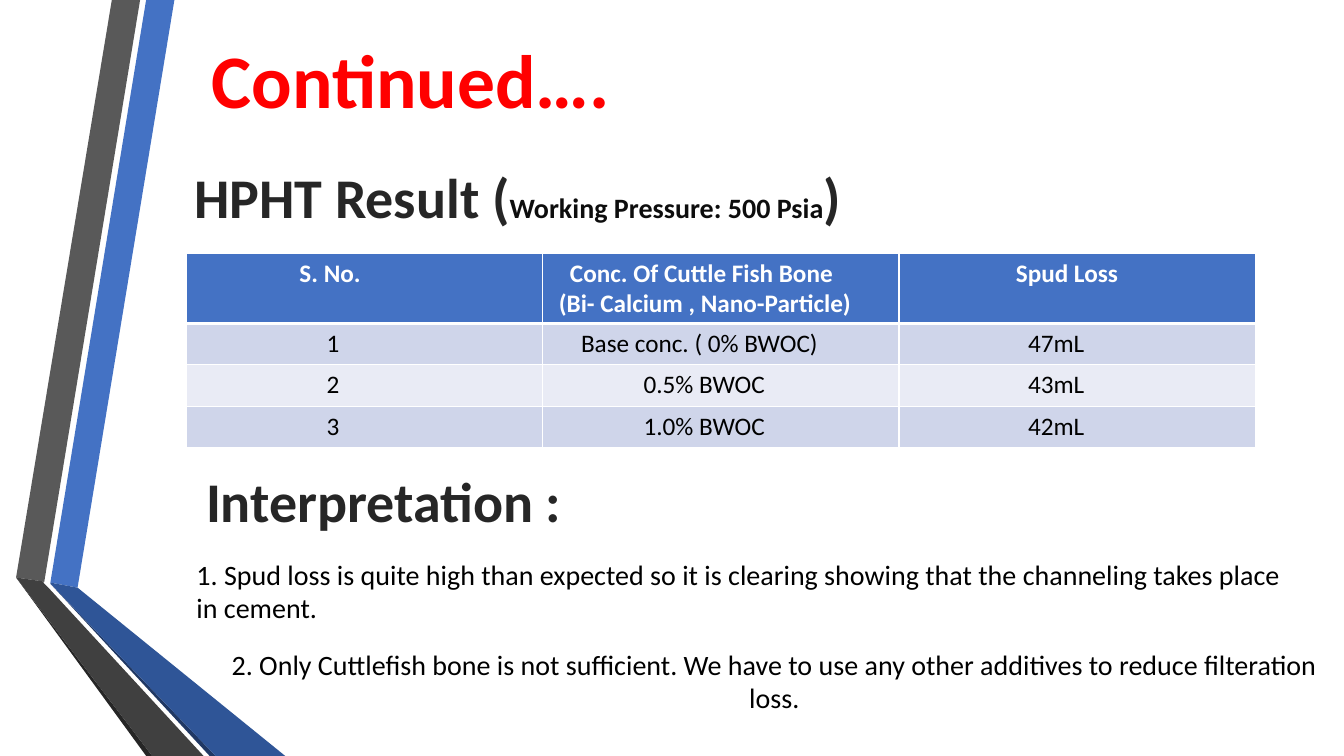
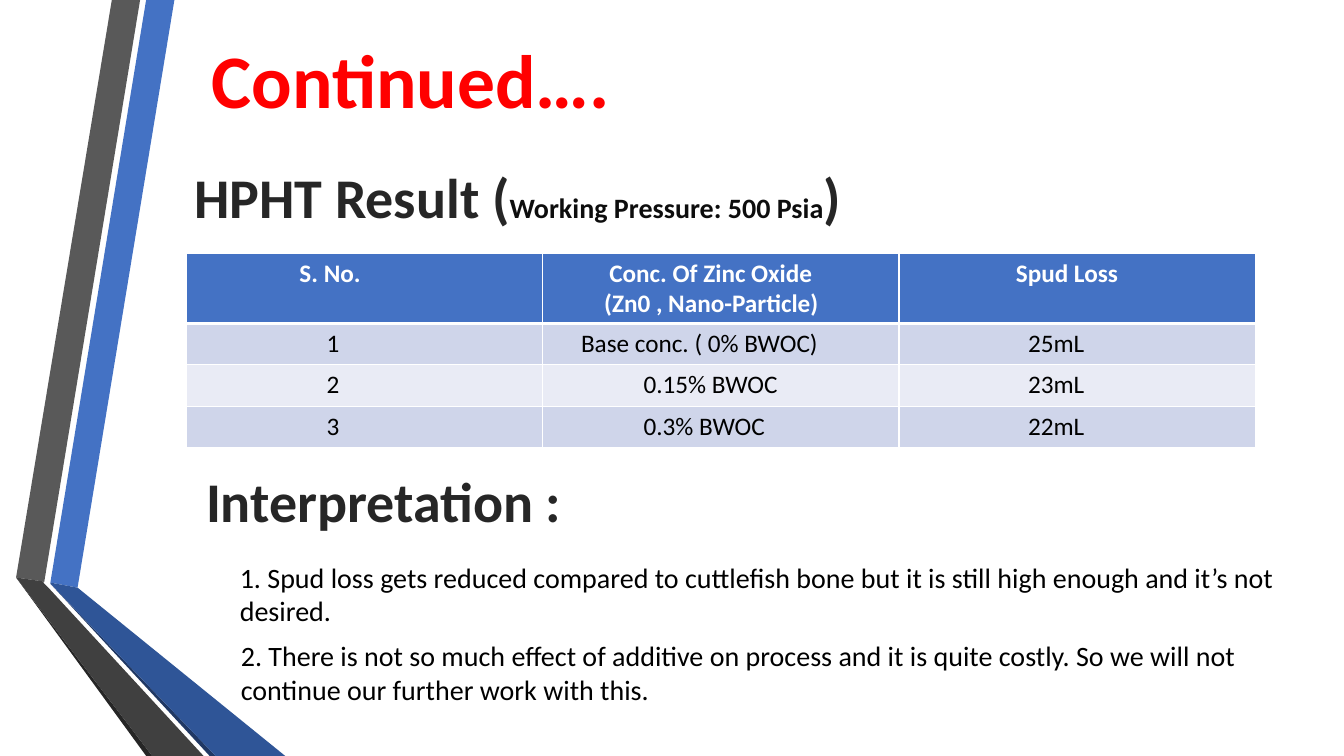
import lxml.etree
import pptx
import pptx.dml.color
import pptx.enum.text
import pptx.oxml.ns
import pptx.util

PX = 9144  # EMU per px, 100 px to the inch
SLIDE_SIZE = (1333, 750)

THEME = {
    "font": "Calibri",
    "title": {"size": 54, "color": "FF0000", "bold": True, "outline": 0.75},
    "heading": {"size": 40, "color": "262626", "bold": True, "outline": 1.06},
    "note": {"size": 20, "color": "0D0D0D", "bold": True, "outline": 1.06},
    "body": {"size": 20, "color": "000000"},
    "table_head": {"size": 18, "color": "FFFFFF", "bold": True},
    "table_body": {"size": 18, "color": "000000"},
    "head_fill": "4472C4",
    "band_fills": ("CFD5EA", "E9EBF5"),
    "border": "FFFFFF",
}

RIBBONS = [
    ("4472C4", [(50, 578), (77, 583), (173, 0), (145, 0)]),
    ("595959", [(139, 0), (111, 0), (16, 573), (44, 577)]),
    ("262626", [(16, 573), (145, 750), (151, 750)]),
    ("203864", [(50, 579), (208, 750), (214, 750)]),
    ("2F5597", [(50, 579), (214, 750), (283, 750), (77, 583), (50, 578)]),
    ("404040", [(202, 750), (48, 583), (43, 578), (44, 577), (16, 573), (151, 750)]),
]

# Heading boxes: (left, top, width, height), centred, [(text, style), ...]
HEADINGS = [
    ((183, 28, 449, 101), True, [("Continued….", "title")]),
    ((183, 156, 705, 77), False, [
        ("HPHT Result (", "heading"),
        ("Working Pressure: 500 Psia", "note"),
        (")", "heading"),
    ]),
    ((185, 458, 391, 77), True, [("Interpretation :", "heading")]),
]

TABLE_BOX = (185, 251, 1060, 193)
HEAD_HEIGHT, ROW_HEIGHT = 70, 41

# Table cells are lists of (line, indent in px)
SLIDES = [
    {
        "agent": [("Conc. Of Cuttle Fish Bone", 27), ("(Bi- Calcium , Nano-Particle)", 16)],
        "results": [("Base conc. ( 0% BWOC)", "47mL"), ("0.5% BWOC", "43mL"), ("1.0% BWOC", "42mL")],
        "findings": [
            ((185, 548, 1105, 77), True,
             "1. Spud loss is quite high than expected so it is clearing showing that "
             "the channeling takes place in cement."),
            ((203, 637, 1130, 44), False,
             "2. Only Cuttlefish bone is not sufficient. We have to use any other "
             "additives to reduce filteration loss."),
        ],
    },
    {
        "agent": [("Conc. Of Zinc Oxide", 66), ("(Zn0 , Nano-Particle)", 61)],
        "results": [("Base conc. ( 0% BWOC)", "25mL"), ("0.15% BWOC", "23mL"), ("0.3% BWOC", "22mL")],
        "findings": [
            ((228, 551, 1105, 77), True,
             "1. Spud loss gets reduced compared to cuttlefish bone but it is still "
             "high enough and it’s not desired."),
            ((229, 629, 1061, 77), True,
             "2. There is not so much effect of additive on process and it is quite "
             "costly. So we will not continue our further work with this."),
        ],
    },
]


def px(*lengths):
    return [pptx.util.Emu(length * PX) for length in lengths]


def rgb(value):
    return pptx.dml.color.RGBColor.from_string(value)


def add_line(parent, tag, color, points):
    """Append a solid line element, as used by outlines and cell borders."""
    line = lxml.etree.SubElement(parent, pptx.oxml.ns.qn(tag), w=str(int(pptx.util.Pt(points))))
    fill = lxml.etree.SubElement(line, pptx.oxml.ns.qn("a:solidFill"))
    lxml.etree.SubElement(fill, pptx.oxml.ns.qn("a:srgbClr"), val=color)


def style_span(span, name):
    style = THEME[name]
    if "outline" in style:
        add_line(span.font._element, "a:ln", THEME["border"], style["outline"])
    span.font.name = THEME["font"]
    span.font.size = pptx.util.Pt(style["size"])
    span.font.bold = style.get("bold", False)
    span.font.color.rgb = rgb(style["color"])


def add_text(page, place, spans, centred=False, wrap=True):
    frame = page.shapes.add_textbox(*px(*place)).text_frame
    frame.word_wrap = wrap
    if not wrap:
        frame.auto_size = pptx.enum.text.MSO_AUTO_SIZE.SHAPE_TO_FIT_TEXT
        frame.margin_left = frame.margin_right = 0
    para = frame.paragraphs[0]
    if centred:
        para.alignment = pptx.enum.text.PP_ALIGN.CENTER
    for text, style in spans:
        span = para.add_run()
        span.text = text
        style_span(span, style)


def add_ribbons(page):
    for color, points in RIBBONS:
        builder = page.shapes.build_freeform(*points[0], scale=PX)
        builder.add_line_segments(points[1:], close=True)
        ribbon = builder.convert_to_shape()
        ribbon.shadow.inherit = False
        ribbon.fill.solid()
        ribbon.fill.fore_color.rgb = rgb(color)
        ribbon.line.fill.background()


def fill_cell(cell, lines, style, fill, top, bottom):
    cell.margin_left = 0
    cell.text_frame.text = "\n".join(text for text, _ in lines)
    for para, (_, indent) in zip(cell.text_frame.paragraphs, lines):
        para._p.get_or_add_pPr().set("marL", str(indent * PX))
        style_span(para.runs[0], style)
    properties = cell._tc.get_or_add_tcPr()
    for side, points in (("L", 1), ("R", 1), ("T", top), ("B", bottom)):
        add_line(properties, "a:ln" + side, THEME["border"], points)
    cell.fill.solid()
    cell.fill.fore_color.rgb = rgb(fill)


def add_results(page, agent, results):
    rows = [[[("S. No.", 112)], agent, [("Spud Loss", 116)]]]
    for number, (dose, loss) in enumerate(results, 1):
        dose_indent = 38 if number == 1 else 100
        rows.append([[(str(number), 139)], [(dose, dose_indent)], [(loss, 128)]])
    table = page.shapes.add_table(len(rows), len(rows[0]), *px(*TABLE_BOX)).table
    for index, row in enumerate(rows):
        head = index == 0
        table.rows[index].height = px(HEAD_HEIGHT if head else ROW_HEIGHT)[0]
        style = "table_head" if head else "table_body"
        fill = THEME["head_fill"] if head else THEME["band_fills"][(index - 1) % 2]
        # The rule under the header is shared with the top of the first row
        top, bottom = (3 if index == 1 else 1), (3 if head else 1)
        for column, lines in enumerate(row):
            fill_cell(table.cell(index, column), lines, style, fill, top, bottom)


def main():
    deck = pptx.Presentation()
    deck.slide_width, deck.slide_height = px(*SLIDE_SIZE)
    for content in SLIDES:
        page = deck.slides.add_slide(deck.slide_layouts[6])
        add_ribbons(page)
        for place, centred, spans in HEADINGS:
            add_text(page, place, spans, centred)
        add_results(page, content["agent"], content["results"])
        for place, wrap, text in content["findings"]:
            add_text(page, place, [(text, "body")], centred=not wrap, wrap=wrap)
    deck.save("out.pptx")


if __name__ == "__main__":
    main()
